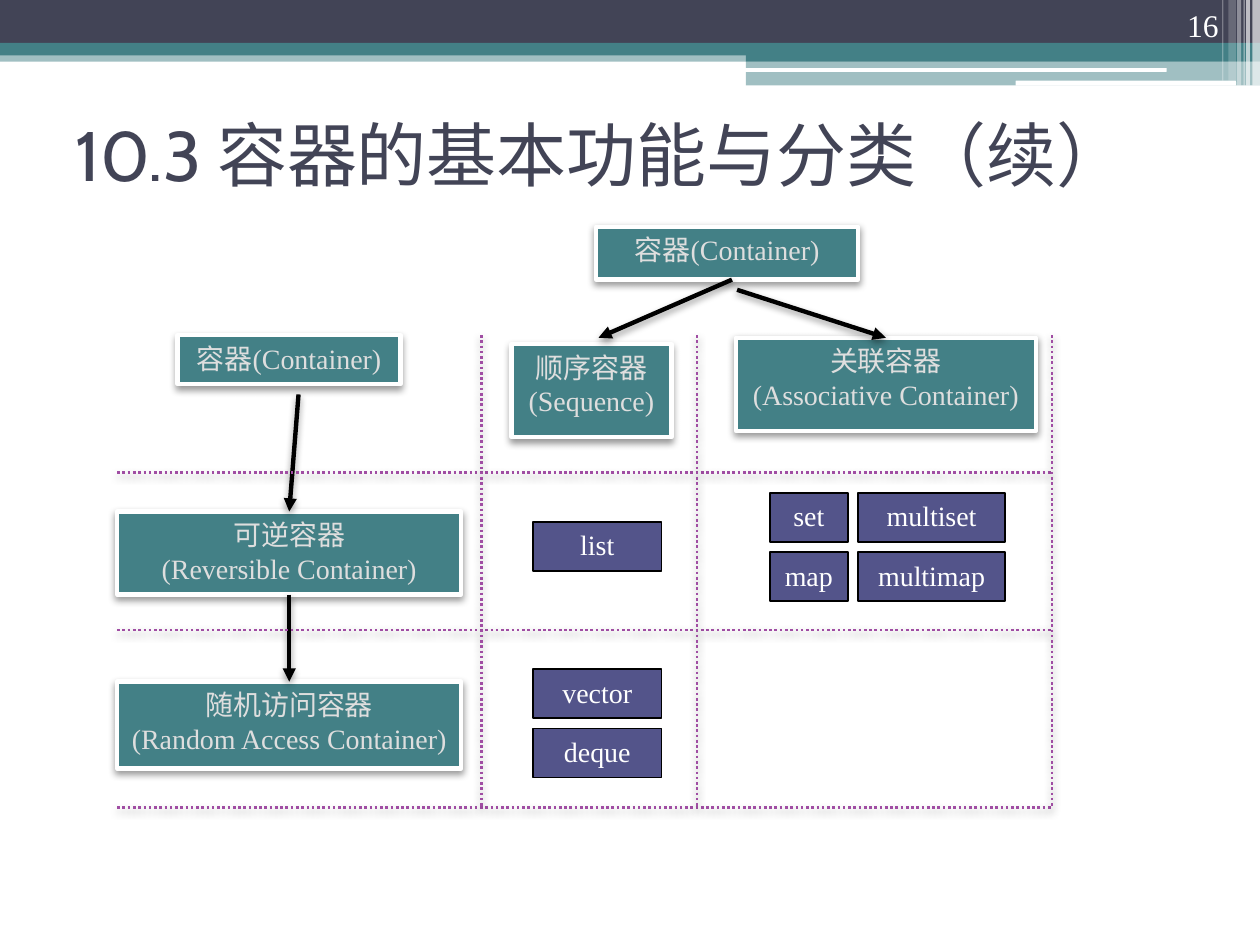
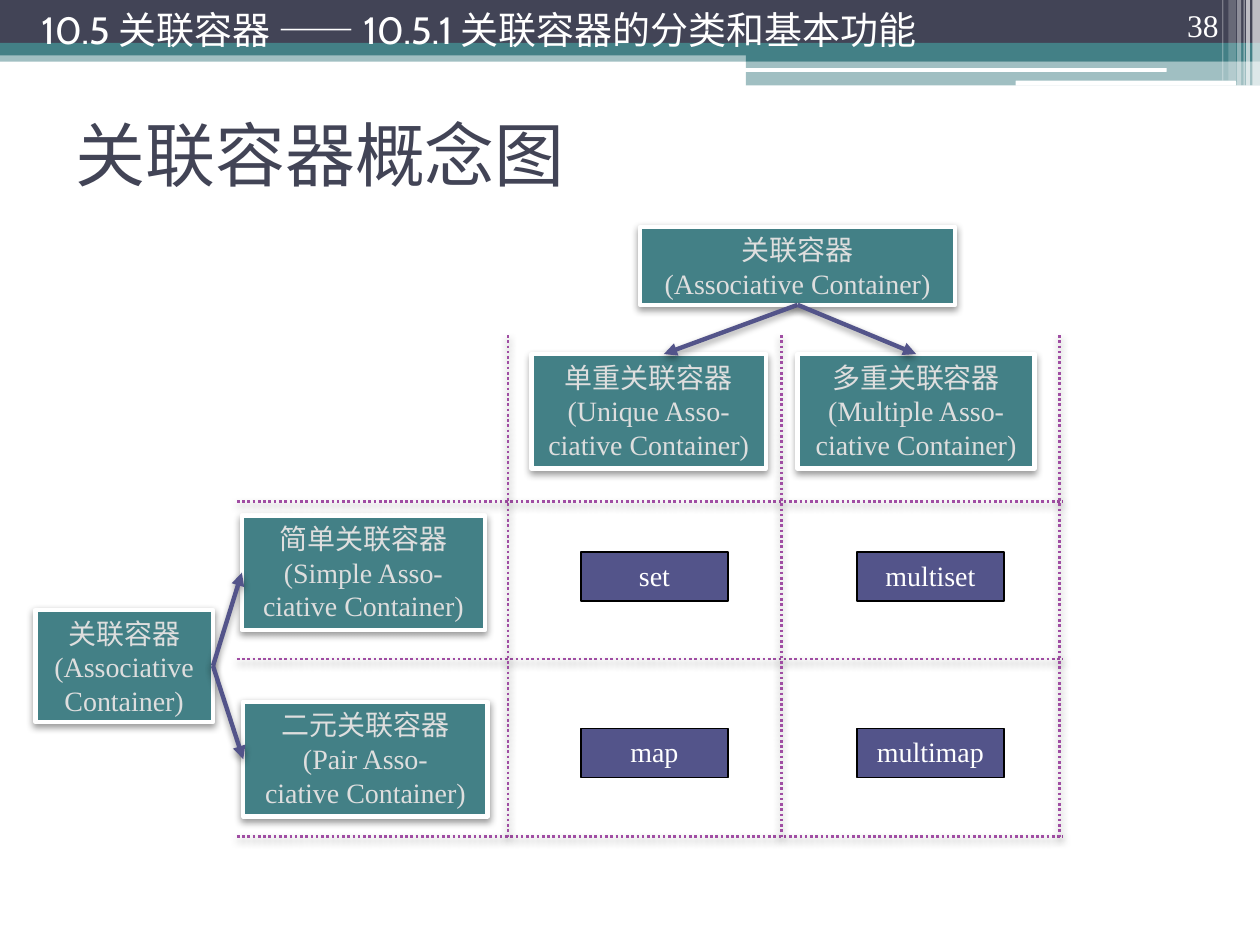
from itertools import product
from typing import NamedTuple, Optional, Union

from pptx import Presentation
from pptx import util as u
from pptx.dml import color
from pptx.enum import dml, shapes, text
from pptx.oxml import parse_xml
from pptx.oxml.ns import nsdecls, qn

Pt = u.Pt
RGB = color.RGBColor
INK = RGB(0x42, 0x44, 0x56)
TEAL = RGB(0x43, 0x80, 0x86)
WHITE = RGB(0xFF, 0xFF, 0xFF)
BLACK = RGB(0x00, 0x00, 0x00)
PALE = RGB(0xDE, 0xDE, 0xDE)
PLUM = RGB(0x53, 0x54, 0x8A)
PINK = RGB(0xA0, 0x4D, 0xA3)
SERIF, SANS = "Times New Roman", "Cabin"
RECT = shapes.MSO_SHAPE.RECTANGLE
ROUND = shapes.MSO_SHAPE.ROUNDED_RECTANGLE
LEFT, MID, RIGHT = text.PP_ALIGN.LEFT, text.PP_ALIGN.CENTER, text.PP_ALIGN.RIGHT
TOP, CENTER, BASE = text.MSO_ANCHOR.TOP, text.MSO_ANCHOR.MIDDLE, text.MSO_ANCHOR.BOTTOM
NORTH, WEST, SOUTH, EAST = range(4)


class Area(NamedTuple):
    x: float
    y: float
    w: float
    h: float


class Band(NamedTuple):
    area: Area
    fill: RGB
    alpha: int = 100
    kind: int = RECT


class Font(NamedTuple):
    face: str
    size: float
    ink: RGB


class Node(NamedTuple):
    key: str
    words: str
    area: Area


class Point(NamedTuple):
    x: float
    y: float


class Side(NamedTuple):
    key: str
    site: int


End = Union[Point, Side]


class Link(NamedTuple):
    start: End
    stop: End


class Grid(NamedTuple):
    left: float
    right: float
    top: float
    rows: tuple
    cols: tuple


class Item(NamedTuple):
    name: str
    x: float
    y: float
    w: float


class Chart(NamedTuple):
    title: str
    number: str
    head: Optional[str]
    nodes: list
    links: list
    ink: RGB
    grid: Grid
    items: list


ITEM_H = 28.1
BANDS = [
    Band(Area(0, 28.8, 720, 6.5), TEAL, 50),
    Band(Area(0, 0, 720, 24.5), INK),
    Band(Area(0, 24.5, 720, 7.2), TEAL),
    Band(Area(426.2, 28.1, 293.8, 7), TEAL),
    Band(Area(426.2, 34.8, 293.8, 14), TEAL, 50),
    Band(Area(425.5, 38.9, 241.2, 2.2), WHITE, kind=ROUND),
    Band(Area(580.3, 46.1, 126, 2.9), WHITE, kind=ROUND),
] + [
    Band(Area(x, 0, w, h), WHITE, alpha)
    for x, w, h, alpha in (
        (715.7, 4.3, 49, 65), (712.1, 2.2, 49, 65), (710.6, 0.7, 49, 60),
        (707, 2.2, 49, 40), (702, 4.3, 46.1, 20), (698.4, 0.7, 46.1, 30),
    )
]
TITLE = Font(SANS, 40, INK)
HEAD = Font(SANS, 21.7, WHITE)
NUMBER = Font(SERIF, 18, WHITE)
NODE = Font(SERIF, 16, PALE)
ITEM = Font(SERIF, 16, WHITE)

KINDS = Chart(
    "10.3 容器的基本功能与分类（续）", "16", None,
    [
        Node("side", "容器(Container)", Area(101.5, 191.5, 127.4, 28.1)),
        Node("random", "随机访问容器\n(Random Access Container)", Area(67, 389.5, 196.6, 49.7)),
        Node("reverse", "可逆容器|(Reversible Container)", Area(67, 292.3, 196.6, 47.5)),
        Node("root", "容器(Container)", Area(340.6, 129.6, 149.8, 30.2)),
        Node("sequence", "顺序容器(Sequence)", Area(292.3, 196.6, 91.4, 53.3)),
        Node("linked", "关联容器\n(Associative Container)", Area(420.5, 193, 171.4, 53.3)),
    ],
    [
        Link(Side("reverse", SOUTH), Side("random", NORTH)),
        Link(Point(170.6, 225.4), Side("reverse", NORTH)),
        Link(Point(418.3, 159.8), Point(342, 193)),
        Link(Point(421.2, 165.6), Side("linked", NORTH)),
    ],
    BLACK,
    Grid(67, 601.2, 191.5, (270, 360, 461.5), (275, 398.2, 601.2)),
    [
        Item(name, 304.6, y, 73.4)
        for name, y in (("vector", 382.3), ("deque", 416.2), ("list", 298.1))
    ] + [
        Item(stem + name, x, y, w)
        for (stem, x, w), (name, y) in product(
            (("multi", 490.3, 84.2), ("", 439.9, 44.6)),
            (("set", 281.5), ("map", 315.4)))
    ],
)

MAPS = Chart(
    "关联容器概念图", "38", "10.5 关联容器 —— 10.5.1 关联容器的分类和基本功能",
    [
        Node("root", "关联容器|(Associative Container)", Area(365.8, 129.6, 180, 44.6)),
        Node("unique", "单重关联容器|(Unique Asso-\nciative Container)",
             Area(303.8, 202.3, 133.9, 65.5)),
        Node("multi", "多重关联容器|(Multiple Asso-\nciative Container)",
             Area(455.8, 202.3, 135.4, 65.5)),
        Node("side", "关联容器|(Associative Container)", Area(20.2, 348.5, 101.5, 64.1)),
        Node("simple", "简单关联容器|(Simple Asso-\nciative Container)",
             Area(138.2, 294.5, 139, 65.5)),
        Node("pair", "二元关联容器|(Pair Asso-\nciative Container)",
             Area(139, 401, 139.7, 65.5)),
    ],
    [
        Link(Side("root", SOUTH), Point(379.4, 202.3)),
        Link(Side("root", SOUTH), Side("multi", NORTH)),
        Link(Side("side", EAST), Side("simple", WEST)),
        Link(Side("side", EAST), Side("pair", WEST)),
    ],
    PLUM,
    Grid(135.4, 607.7, 191.5, (286.6, 376.6, 478.1), (290.2, 446.4, 605.5)),
    [
        Item(stem + name, x, y, 84.2)
        for (stem, x), (name, y) in product(
            (("multi", 489.6), ("", 331.9)), (("set", 315.4), ("map", 416.2)))
    ],
)


def place(area: Area) -> list:
    return [Pt(v) for v in area]


def shade(shape) -> None:
    props = shape._element.spPr
    old = props.find(qn("a:effectLst"))
    if old is not None:
        props.remove(old)
    props.append(parse_xml(
        f'<a:effectLst {nsdecls("a")}>'
        f'<a:outerShdw blurRad="{Pt(4.1)}" dist="{Pt(2)}" dir="5400000" rotWithShape="0">'
        '<a:srgbClr val="000000"><a:alpha val="40000"/></a:srgbClr>'
        '</a:outerShdw></a:effectLst>'))


def write(shape, words: str, font: Font, align=MID, anchor=TOP) -> None:
    frame = shape.text_frame
    frame.word_wrap = True
    frame.vertical_anchor = anchor
    for i, part in enumerate(words.split("|")):
        para = frame.add_paragraph() if i else frame.paragraphs[0]
        para.alignment = align
        for j, line in enumerate(part.split("\n")):
            if j:
                para.add_line_break()
            run = para.add_run()
            run.text = line
            run.font.name = font.face
            run.font.size = Pt(font.size)
            run.font.color.rgb = font.ink


def label(slide, area: Area, words: str, font: Font, align, anchor) -> None:
    write(slide.shapes.add_textbox(*place(area)), words, font, align, anchor)


def block(slide, area: Area, fill: RGB, edge: Optional[RGB] = None,
          width: float = 1, kind=RECT):
    shape = slide.shapes.add_shape(kind, *place(area))
    shape.fill.solid()
    shape.fill.fore_color.rgb = fill
    if edge is None:
        shape.line.fill.background()
    else:
        shape.line.color.rgb = edge
        shape.line.width = Pt(width)
    shape.shadow.inherit = False
    return shape


def draw_band(slide, band: Band) -> None:
    shape = block(slide, band.area, band.fill, kind=band.kind)
    if band.alpha < 100:
        tint = shape._element.spPr.find(qn("a:solidFill"))[0]
        tint.append(parse_xml(f'<a:alpha {nsdecls("a")} val="{band.alpha * 1000}"/>'))


def draw_line(slide, start: Point, stop: Point, ink: RGB, width: float):
    line = slide.shapes.add_connector(
        shapes.MSO_CONNECTOR.STRAIGHT, *place(start), *place(stop))
    line.line.color.rgb = ink
    line.line.width = Pt(width)
    shade(line)
    return line


def draw_link(slide, link: Link, boxes: dict, ink: RGB) -> None:
    start, stop = (e if isinstance(e, Point) else Point(0, 0) for e in link)
    line = draw_line(slide, start, stop, ink, 2.5)
    for end, join in zip(link, (line.begin_connect, line.end_connect)):
        if isinstance(end, Side):
            join(boxes[end.key], end.site)
    line.line._get_or_add_ln().append(
        parse_xml(f'<a:tailEnd {nsdecls("a")} type="triangle"/>'))


def draw_grid(slide, grid: Grid) -> None:
    ends = [(Point(grid.left, y), Point(grid.right, y)) for y in grid.rows]
    ends += [(Point(x, grid.top), Point(x, grid.rows[-1])) for x in grid.cols]
    for start, stop in ends:
        line = draw_line(slide, start, stop, PINK, 1.5)
        line.line.dash_style = dml.MSO_LINE.ROUND_DOT


def draw_node(slide, node: Node):
    box = block(slide, node.area, TEAL, WHITE, 2.5)
    shade(box)
    write(box, node.words, NODE)
    return box


def draw_item(slide, item: Item) -> None:
    box = block(slide, Area(item.x, item.y, item.w, ITEM_H), PLUM, BLACK)
    write(box, item.name, ITEM)


def draw_chart(deck, chart: Chart) -> None:
    slide = deck.slides.add_slide(deck.slide_layouts[6])
    for band in BANDS:
        draw_band(slide, band)
    label(slide, Area(36, 45.4, 648, 84.2), chart.title, TITLE, LEFT, CENTER)
    label(slide, Area(643.7, 0, 59.8, 28.8), chart.number, NUMBER, RIGHT, BASE)
    if chart.head:
        label(slide, Area(16.6, 0, 562.3, 33.8), chart.head, HEAD, LEFT, CENTER)
    boxes = {node.key: draw_node(slide, node) for node in chart.nodes}
    for link in chart.links:
        draw_link(slide, link, boxes, chart.ink)
    draw_grid(slide, chart.grid)
    for item in chart.items:
        draw_item(slide, item)


def main() -> None:
    deck = Presentation()
    deck.slide_width, deck.slide_height = Pt(720), Pt(540)
    for chart in (KINDS, MAPS):
        draw_chart(deck, chart)
    deck.save("out.pptx")


if __name__ == "__main__":
    main()
